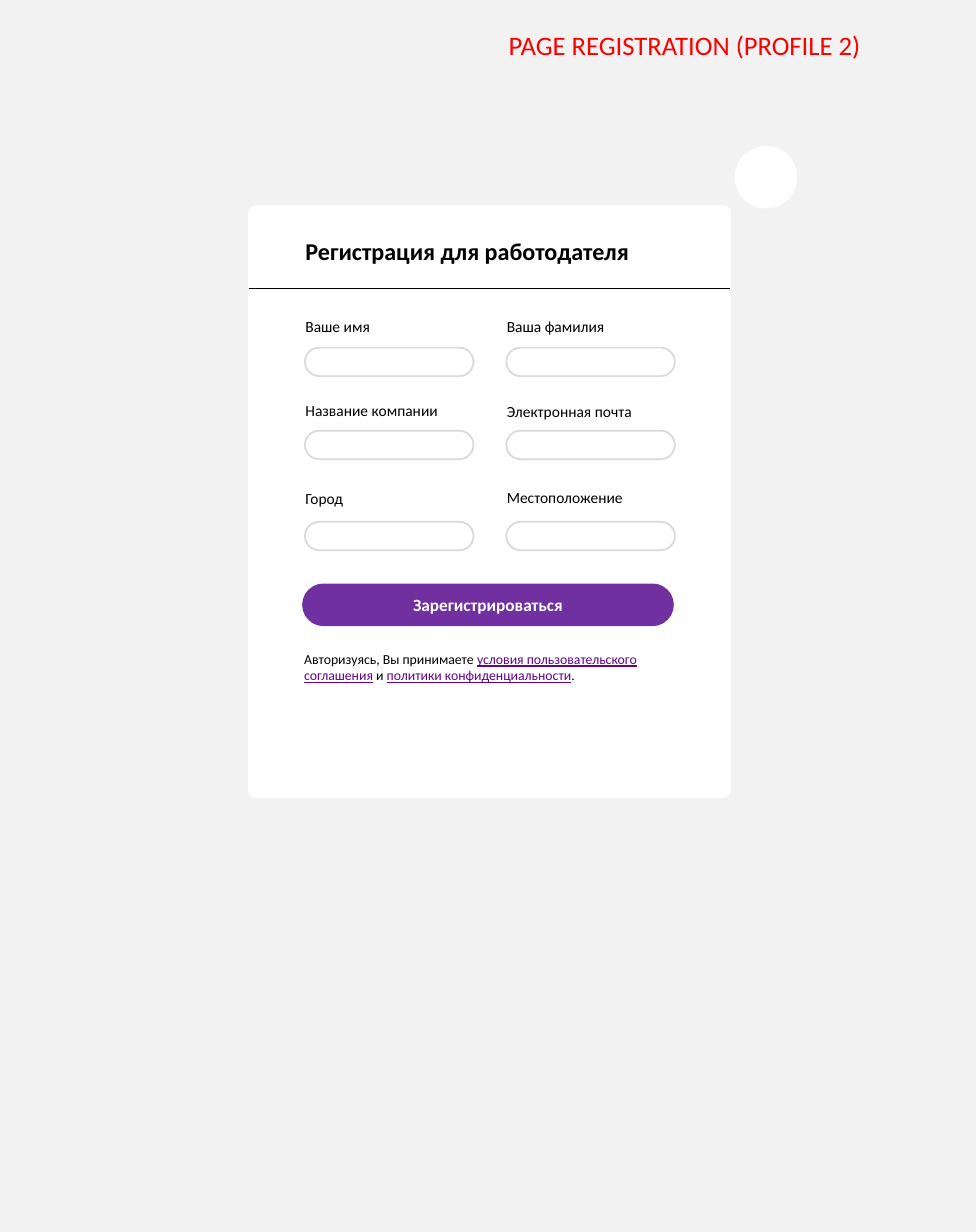
from pptx import Presentation
from pptx.dml.color import RGBColor
from pptx.enum.shapes import MSO_CONNECTOR, MSO_SHAPE
from pptx.enum.text import MSO_ANCHOR, MSO_AUTO_SIZE, PP_ALIGN
from pptx.oxml.ns import qn
from pptx.util import Inches, Pt
from lxml import etree

FONT = "Calibri"
BLACK, WHITE, RED = "000000", "FFFFFF", "FF0000"
PURPLE, LINK, BORDER, BACKGROUND = "7030A0", "64038B", "D9D9D9", "F2F2F2"


def color(hex_value):
    return RGBColor.from_string(hex_value)


def write_text(shape, runs, size=18, font_color=BLACK, bold=False,
               align=PP_ALIGN.LEFT, anchor=MSO_ANCHOR.TOP, grow=True):
    """Runs are a plain string or a list of (text, is_link) pairs."""
    frame = shape.text_frame
    frame.word_wrap = True
    frame.vertical_anchor = anchor
    frame.auto_size = MSO_AUTO_SIZE.SHAPE_TO_FIT_TEXT if grow else MSO_AUTO_SIZE.NONE
    paragraph = frame.paragraphs[0]
    paragraph.alignment = align
    for text, is_link in [(runs, False)] if isinstance(runs, str) else runs:
        run = paragraph.add_run()
        run.text = text
        run.font.name = FONT
        run.font.size = Pt(size)
        run.font.bold = bold
        run.font.underline = is_link
        run.font.color.rgb = color(LINK if is_link else font_color)


def add_text(slide, box, runs, **text_format):
    shape = slide.shapes.add_textbox(*map(Inches, box))
    write_text(shape, runs, **text_format)


def add_box(slide, kind, box, fill, line, rounding=None):
    shape = slide.shapes.add_shape(kind, *map(Inches, box))
    shape.shadow.inherit = False
    shape.fill.solid()
    shape.fill.fore_color.rgb = color(fill)
    shape.line.color.rgb = color(line)
    shape.line.width = Pt(2)
    if rounding is not None:
        shape.adjustments[0] = rounding
    return shape


def add_divider(slide, left, top, width):
    line = slide.shapes.add_connector(
        MSO_CONNECTOR.STRAIGHT, Inches(left), Inches(top), Inches(left + width), Inches(top))
    line.line.color.rgb = color(BLACK)
    line.line.width = Pt(0.75)
    etree.SubElement(line._element.spPr, qn("a:effectLst"))


def add_page_title(slide, box):
    title = slide.shapes.title
    title.left, title.top, title.width, title.height = map(Inches, box)
    write_text(title, "PAGE REGISTRATION (PROFILE 2)", size=31, font_color=RED)


def add_fields(slide, left, top):
    # Label, column, label top, input top
    fields = [
        ("Ваше имя", 0, 0, 0.54),
        ("Ваша фамилия", 1, 0, 0.54),
        ("Название компании", 0, 1.35, 1.88),
        ("Электронная почта", 1, 1.37, 1.88),
        ("Город", 0, 2.78, 3.35),
        ("Местоположение", 1, 2.75, 3.35),
    ]
    for label, column, label_top, input_top in fields:
        x = left + column * 3.25
        add_text(slide, (x, top + label_top, 2.44, 0.4), label)
        add_box(slide, MSO_SHAPE.ROUNDED_RECTANGLE, (x + 0.09, top + input_top, 2.72, 0.46),
                WHITE, BORDER, rounding=0.5)


def add_registration_form(slide, box):
    left, top, width, _ = box
    add_box(slide, MSO_SHAPE.ROUNDED_RECTANGLE, box, WHITE, WHITE, rounding=0.013)

    # Heading
    add_text(slide, (left + 0.81, top + 0.44, 5.63, 0.57),
             "Регистрация для работодателя", size=28, bold=True)
    add_divider(slide, left, top + 1.33, width)

    add_fields(slide, left + 0.81, top + 1.74)

    # Submit button
    button = add_box(slide, MSO_SHAPE.ROUNDED_RECTANGLE, (left + 0.87, top + 6.1, 5.97, 0.66),
                     PURPLE, PURPLE, rounding=0.5)
    write_text(button, "Зарегистрироваться", size=20, font_color=WHITE, bold=True,
               align=PP_ALIGN.CENTER, anchor=MSO_ANCHOR.MIDDLE, grow=False)

    # Terms
    add_text(slide, (left + 0.79, top + 7.12, 5.64, 0.64), [
        ("Авторизуясь, Вы принимаете ", False),
        ("условия пользовательского соглашения", True),
        (" и ", False),
        ("политики конфиденциальности", True),
        (".", False),
    ], size=16)


def main():
    presentation = Presentation()
    presentation.slide_width = Inches(15.75)
    presentation.slide_height = Inches(19.88)
    slide = presentation.slides.add_slide(presentation.slide_layouts[5])
    slide.background.fill.solid()
    slide.background.fill.fore_color.rgb = color(BACKGROUND)

    add_page_title(slide, (8.11, 0.41, 7.01, 0.62))
    add_registration_form(slide, (4.02, 3.33, 7.76, 9.53))

    # Round close button
    add_box(slide, MSO_SHAPE.OVAL, (11.87, 2.37, 0.98, 0.98), WHITE, WHITE)

    presentation.save("out.pptx")


if __name__ == "__main__":
    main()
